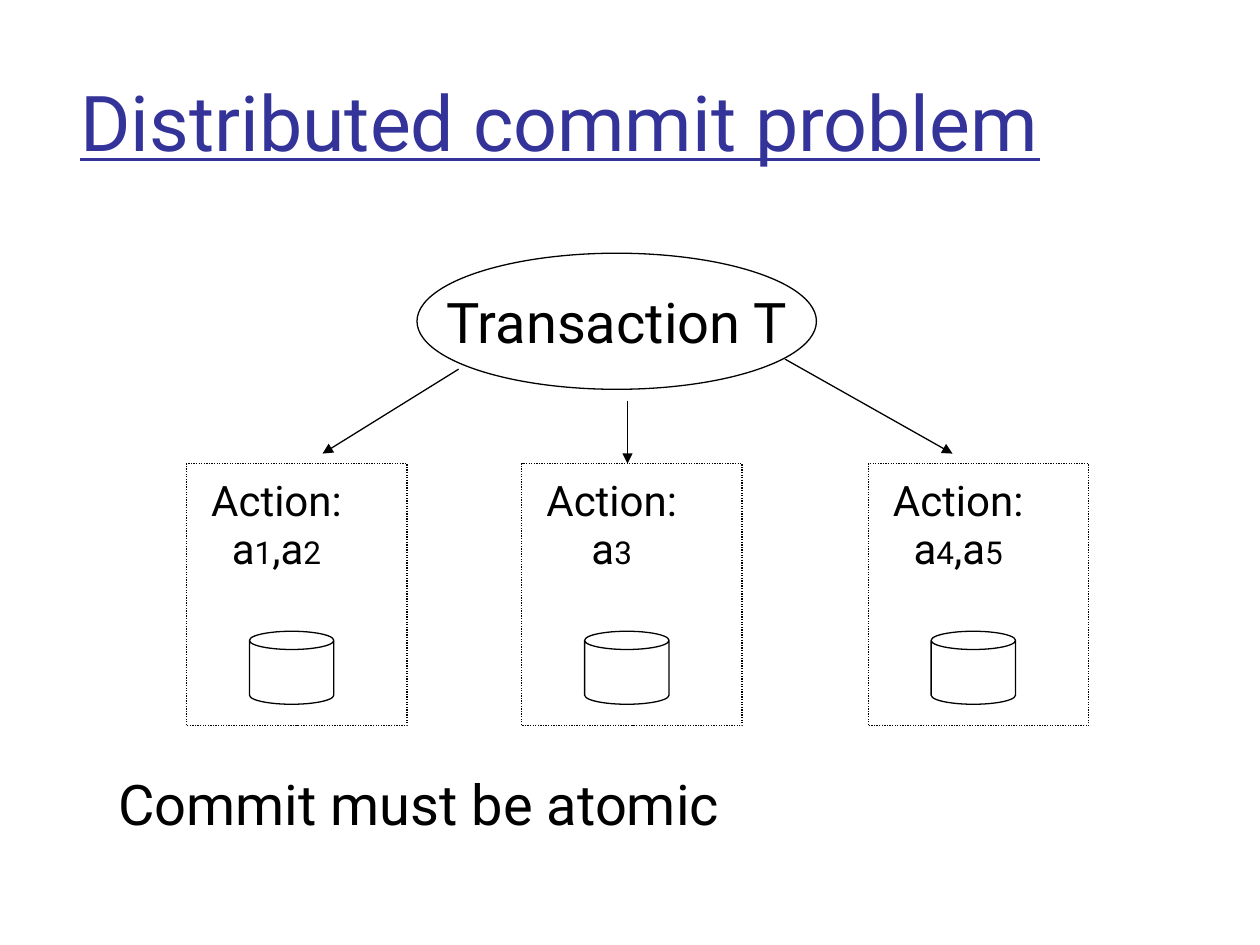
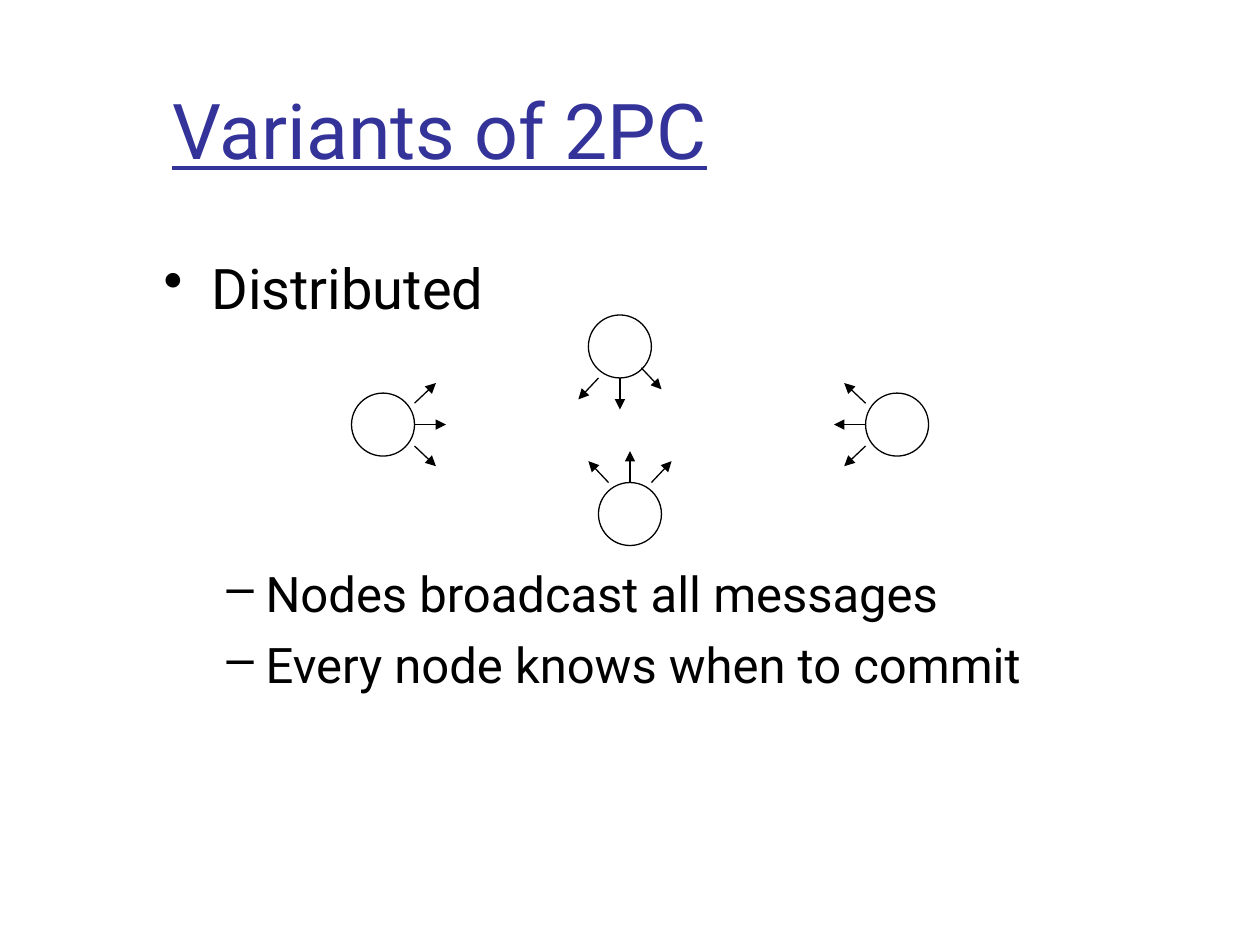
from dataclasses import dataclass
from typing import Any

from lxml.etree import SubElement
from pptx import Presentation
from pptx.dml.color import RGBColor
from pptx.enum.dml import MSO_LINE_DASH_STYLE as Dash
from pptx.enum.shapes import MSO_CONNECTOR as Link, MSO_SHAPE as Preset
from pptx.enum.text import MSO_ANCHOR as Anchor, MSO_AUTO_SIZE as Fit, PP_ALIGN as Align
from pptx.oxml.ns import qn
from pptx.util import Inches, Pt

FONT = "Roboto"
INK, PAPER, TITLE_BLUE = "000000", "FFFFFF", "333399"
Point = tuple[float, float]


@dataclass(frozen=True)
class Area:
    """A rectangle on the page, in inches."""
    left: float
    top: float
    width: float
    height: float

    def lengths(self) -> list[int]:
        """Give the four sides as lengths."""
        return [Inches(side) for side in (self.left, self.top, self.width, self.height)]


@dataclass(frozen=True)
class Site:
    """A database site: its left edge and the numbers of its actions."""
    left: float
    actions: tuple[int, ...]


@dataclass(frozen=True)
class Node:
    """A broadcasting node: centre, facing direction and pull-back of one arrow."""
    x: float
    y: float
    facing: Point
    pull: float = 0.0


@dataclass(frozen=True)
class Bullet:
    """One list line with its mark, size, indents and space before."""
    text: str
    mark: str
    size: int
    indent: float
    hanging: float
    before: int


SITES = (Site(1.48, (1, 2)), Site(4.14, (3,)), Site(6.89, (4, 5)))
SITE_ARROWS = (((4.98, 3.18), (4.98, 3.68)),
               ((3.64, 2.93), (2.56, 3.6)),
               ((6.23, 2.85), (7.56, 3.6)))
NODES = (Node(4.92, 2.75, (0, 1), 0.08), Node(5, 4.08, (0, -1)),
         Node(7.12, 3.37, (-1, 0)), Node(3.04, 3.37, (1, 0)))
RADIUS = 0.25
BULLETS = (Bullet("Distributed", "•", 32, 0.38, 0.38, 8),
           Bullet("Nodes broadcast all messages", "–", 28, 0.81, 0.31, 139),
           Bullet("Every node knows when to commit", "–", 28, 0.81, 0.31, 7))


def color(value: str) -> RGBColor:
    """Turn a hex string into a colour."""
    return RGBColor.from_string(value)


def apply(target: Any, formats: dict[str, Any]) -> None:
    """Set every named format value on the target."""
    for name, value in formats.items():
        setattr(target, name, value)


def add_span(para: Any, text: str, size: int, ink: str = INK, underline: bool = False) -> None:
    """Append a styled run of text."""
    span = para.add_run()
    span.text = text
    apply(span.font, {"name": FONT, "size": Pt(size), "underline": underline})
    span.font.color.rgb = color(ink)


def add_box(page: Any, area: Area, **formats: Any) -> Any:
    """Add a text box and return its text frame."""
    frame = page.shapes.add_textbox(*area.lengths()).text_frame
    apply(frame, {"word_wrap": True, "auto_size": Fit.NONE, **formats})
    return frame


def add_title(page: Any, text: str, area: Area) -> None:
    """Write the underlined page title."""
    frame = add_box(page, area, vertical_anchor=Anchor.MIDDLE)
    add_span(frame.paragraphs[0], text, 44, TITLE_BLUE, True)


def draw_line(line: Any, dash: Any = None) -> None:
    """Give an outline the thin dark style."""
    line.color.rgb = color(INK)
    apply(line, {"width": Pt(0.75), "dash_style": dash})


def add_outline(page: Any, preset: Any, area: Area, dash: Any = None) -> Any:
    """Add a white preset shape with a thin outline."""
    shape = page.shapes.add_shape(preset, *area.lengths())
    shape.shadow.inherit = False
    shape.fill.solid()
    shape.fill.fore_color.rgb = color(PAPER)
    draw_line(shape.line, dash)
    return shape


def add_arrow(page: Any, start: Point, end: Point) -> None:
    """Draw a thin line with a triangle at its end."""
    ends = [Inches(length) for length in (*start, *end)]
    arrow = page.shapes.add_connector(Link.STRAIGHT, *ends)
    draw_line(arrow.line)
    SubElement(arrow.get_or_add_ln(), qn("a:tailEnd"), type="triangle")
    SubElement(arrow.element.spPr, qn("a:effectLst"))


def add_site(page: Any, site: Site) -> None:
    """Draw one site with its store and its list of actions."""
    add_outline(page, Preset.RECTANGLE, Area(site.left, 3.68, 1.75, 2.08), Dash.ROUND_DOT)
    add_outline(page, Preset.CAN, Area(site.left + 0.5, 5.01, 0.67, 0.58))
    frame = add_box(page, Area(site.left + 0.08, 3.71, 1.27, 0.86), word_wrap=False,
                    auto_size=Fit.SHAPE_TO_FIT_TEXT, vertical_anchor=Anchor.MIDDLE)
    heading, listing = frame.paragraphs[0], frame.add_paragraph()
    apply(heading, {"alignment": Align.CENTER, "space_before": Pt(15)})
    apply(listing, {"alignment": Align.CENTER, "space_before": Pt(11.2), "line_spacing": 0.5})
    add_span(heading, "Action:", 24)
    for place, number in enumerate(site.actions):
        add_span(listing, ",a" if place else "a", 24)
        add_span(listing, str(number), 18)


def add_node(page: Any, node: Node) -> None:
    """Draw a node with three arrows fanning out ahead of it."""
    ahead_x, ahead_y = node.facing

    def spot(ahead: float, aside: float) -> Point:
        """Locate a point relative to the node and its facing."""
        return (node.x + ahead * ahead_x + aside * ahead_y,
                node.y + ahead * ahead_y - aside * ahead_x)

    add_outline(page, Preset.OVAL,
                Area(node.x - RADIUS, node.y - RADIUS, 2 * RADIUS, 2 * RADIUS))
    add_arrow(page, spot(RADIUS, 0), spot(2 * RADIUS, 0))
    for side, pull in ((-1, 0), (1, node.pull)):
        add_arrow(page, spot(RADIUS - pull, 0.17 * side), spot(0.42 - pull, 0.33 * side))


def add_bullet(para: Any, bullet: Bullet) -> None:
    """Write one list line with a hanging mark."""
    para.space_before = Pt(bullet.before)
    add_span(para, bullet.text, bullet.size)
    properties = para._p.get_or_add_pPr()
    properties.set("marL", str(Inches(bullet.indent)))
    properties.set("indent", str(-Inches(bullet.hanging)))
    tint = SubElement(properties, qn("a:buClr"))
    SubElement(tint, qn("a:srgbClr"), val=INK)
    SubElement(properties, qn("a:buChar"), char=bullet.mark)


def build_commit_page(page: Any) -> None:
    """Show a transaction spread over three sites."""
    add_title(page, "Distributed commit problem", Area(0.54, 0.49, 8.5, 0.94))
    for site in SITES:
        add_site(page, site)
    frame = add_outline(page, Preset.OVAL, Area(3.31, 2.01, 3.17, 1.08)).text_frame
    apply(frame, {"word_wrap": False, "vertical_anchor": Anchor.MIDDLE})
    frame.paragraphs[0].alignment = Align.CENTER
    add_span(frame.paragraphs[0], "Transaction T", 32)
    for start, end in SITE_ARROWS:
        add_arrow(page, start, end)
    caption = add_box(page, Area(0.84, 6.06, 5.22, 0.64), word_wrap=False,
                      auto_size=Fit.SHAPE_TO_FIT_TEXT)
    add_span(caption.paragraphs[0], "Commit must be atomic", 32)


def build_variants_page(page: Any) -> None:
    """Show the distributed variant with broadcasting nodes."""
    frame = add_box(page, Area(1.2, 1.96, 8.5, 4.5))
    for place, bullet in enumerate(BULLETS):
        add_bullet(frame.add_paragraph() if place else frame.paragraphs[0], bullet)
    for node in NODES:
        add_node(page, node)
    add_title(page, "Variants of 2PC", Area(1.27, 0.65, 8.24, 0.75))


def main() -> None:
    """Build and save the deck."""
    deck = Presentation()
    apply(deck, {"slide_width": Inches(10), "slide_height": Inches(7.5)})
    for build in (build_commit_page, build_variants_page):
        build(deck.slides.add_slide(deck.slide_layouts[6]))
    deck.save("out.pptx")


if __name__ == "__main__":
    main()
